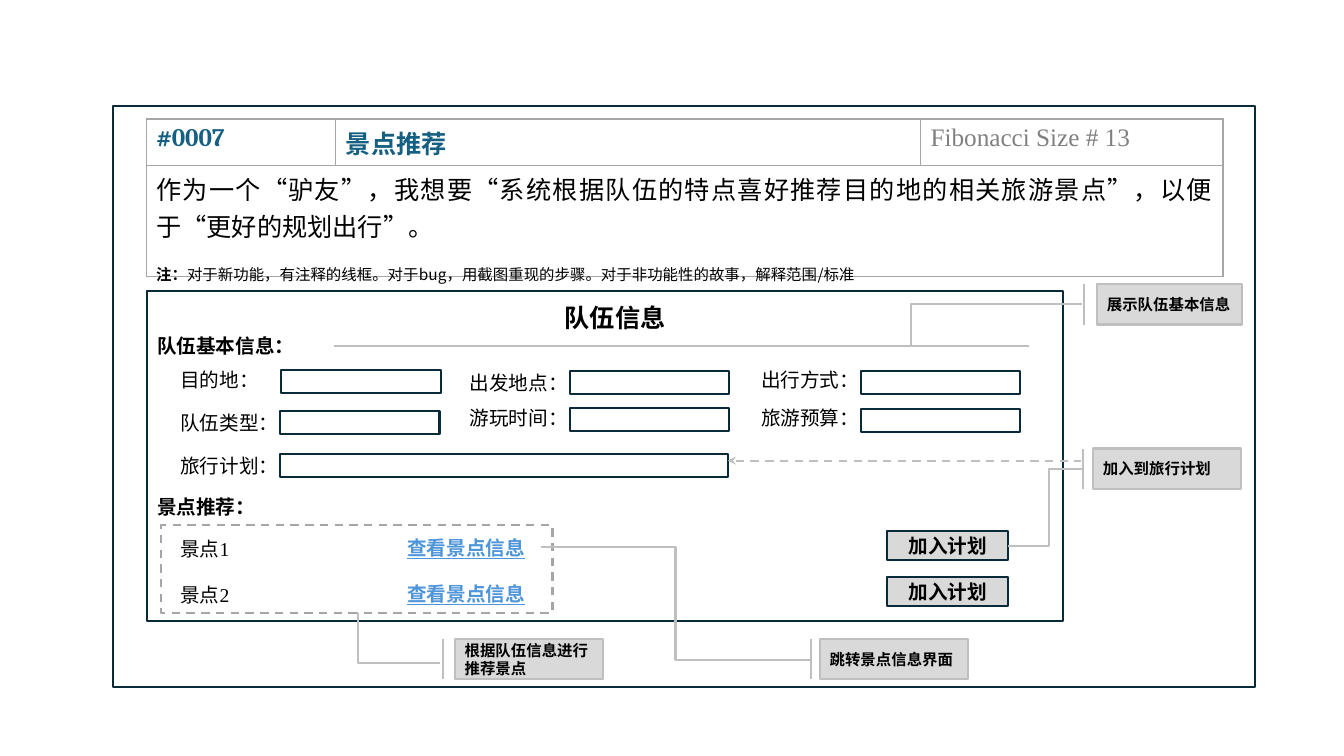
from lxml.etree import SubElement
from pptx import Presentation
from pptx.dml.color import RGBColor
from pptx.enum.dml import MSO_LINE
from pptx.enum.shapes import MSO_CONNECTOR, MSO_SHAPE
from pptx.enum.text import MSO_ANCHOR, PP_ALIGN
from pptx.oxml import parse_xml
from pptx.oxml.ns import nsdecls, qn
from pptx.util import Inches, Pt

NAVY, TEAL, BLACK, BLUE = "092A39", "156082", "000000", "4E95D9"
GRAY, RULE, BORDER, PALE = "808080", "BFBFBF", "A6A6A6", "D9D9D9"
SANS, SERIF = "Noto Sans CJK SC", "Times New Roman"

# Content: story card
STORY_COLUMNS = [1.88, 5.8, 3]
STORY_ROWS = [0.46, 1.1]
STORY_HEADER = [
    ("#0007", "Cambria", TEAL, True),
    ("景点推荐", "Noto Sans CJK JP", TEAL, True),
    ("Fibonacci Size # 13", SERIF, GRAY, False),
]
STORY = "作为一个“驴友”，我想要“系统根据队伍的特点喜好推荐目的地的相关旅游景点”，以便于“更好的规划出行”。"
NOTE = ("注：", "对于新功能，有注释的线框。对于bug，用截图重现的步骤。对于非功能性的故事，解释范围/标准")

# Content: wireframe (text, left, top of label; left, top, width of field)
FIELDS = [
    ("目的地：", 1.69, 3.6, 2.79, 3.67, 1.58),
    ("出发地点：", 4.56, 3.63, 5.65, 3.68, 1.58),
    ("出行方式：", 7.45, 3.6, 8.54, 3.68, 1.58),
    ("队伍类型：", 1.69, 4.03, 2.78, 4.08, 1.58),
    ("游玩时间：", 4.56, 3.98, 5.65, 4.05, 1.58),
    ("旅游预算：", 7.45, 3.98, 8.54, 4.06, 1.58),
    ("旅行计划：", 1.69, 4.45, 2.78, 4.5, 4.44),
]
SECTIONS = [("队伍基本信息：", 3.26), ("景点推荐：", 4.86)]
SPOTS = [("景点1", 5.28), ("景点2", 5.73)]
LINK, BUTTON = "查看景点信息", "加入计划"

# Content: callouts (text, left, top, width, left of the bar)
CALLOUTS = [
    ("展示队伍基本信息", 10.88, 2.82, 1.44, 10.75),
    ("加入到旅行计划", 10.84, 4.45, 1.47, 10.74),
    ("根据队伍信息进行推荐景点", 4.51, 6.34, 1.47, 4.39),
    ("跳转景点信息界面", 8.13, 6.34, 1.47, 8.04),
]

deck = Presentation()
deck.slide_width, deck.slide_height = Inches(13.33), Inches(7.5)
page = deck.slides.add_slide(deck.slide_layouts[6])


def color(value):
    return RGBColor.from_string(value)


def style(span, size, font=SANS, ink=BLACK, bold=False, underline=False):
    span.font.size, span.font.name = Pt(size), font
    span.font.bold, span.font.underline = bold, underline
    span.font.color.rgb = color(ink)
    east_asian = SANS if font == SERIF else font
    SubElement(span.font._element, qn("a:ea")).set("typeface", east_asian)


def add_text(text, left, top, width, height=0.34, size=14, align=PP_ALIGN.LEFT, wrap=False, **look):
    box = page.shapes.add_textbox(Inches(left), Inches(top), Inches(width), Inches(height))
    box.text_frame.word_wrap = wrap
    para = box.text_frame.paragraphs[0]
    para.text, para.alignment = text, align
    style(para.runs[0], size, **look)
    return box


def add_box(left, top, width, height, line=NAVY, fill=None, text="", size=14, align=PP_ALIGN.CENTER):
    box = page.shapes.add_shape(
        MSO_SHAPE.RECTANGLE, Inches(left), Inches(top), Inches(width), Inches(height))
    box.shadow.inherit = False
    box.line.color.rgb, box.line.width = color(line), Pt(1.5)
    if fill:
        box.fill.solid()
        box.fill.fore_color.rgb = color(fill)
    else:
        box.fill.background()
    if text:
        frame = box.text_frame
        frame.word_wrap, frame.vertical_anchor = True, MSO_ANCHOR.MIDDLE
        para = frame.paragraphs[0]
        para.text, para.alignment = text, align
        style(para.runs[0], size, bold=True)
    return box


def add_line(x1, y1, x2, y2, kind=MSO_CONNECTOR.STRAIGHT):
    line = page.shapes.add_connector(kind, Inches(x1), Inches(y1), Inches(x2), Inches(y2))
    line.line.color.rgb, line.line.width = color(RULE), Pt(1.5)
    SubElement(line._element.spPr, qn("a:effectLst"))
    return line


def add_borders(cell):
    cell.fill.background()
    for index, side in enumerate(("lnL", "lnR", "lnT", "lnB")):
        border = parse_xml(
            f'<a:{side} {nsdecls("a")} w="12700"><a:solidFill>'
            f'<a:srgbClr val="{BORDER}"/></a:solidFill></a:{side}>')
        cell._tc.get_or_add_tcPr().insert(index, border)


# Outer frame
add_box(1.12, 1.05, 11.33, 5.77)

# Story card
table = page.shapes.add_table(
    2, 3, Inches(1.45), Inches(1.18), Inches(sum(STORY_COLUMNS)), Inches(sum(STORY_ROWS))).table
table.first_row = table.horz_banding = False
for column, width in zip(table.columns, STORY_COLUMNS):
    column.width = Inches(width)
for row, height in zip(table.rows, STORY_ROWS):
    row.height = Inches(height)
for cell in table.iter_cells():
    add_borders(cell)
for index, (text, font, ink, bold) in enumerate(STORY_HEADER):
    cell = table.cell(0, index)
    cell.text = text
    style(cell.text_frame.paragraphs[0].runs[0], 18, font, ink, bold)
story = table.cell(1, 0)
story.merge(table.cell(1, 2))
story.text = STORY
story_para = story.text_frame.paragraphs[0]
story_para.alignment = PP_ALIGN.JUSTIFY
style(story_para.runs[0], 18, SERIF)

note = add_text(NOTE[0], 1.45, 2.58, 10.68, 0.29, 11, wrap=True, bold=True)
note_span = note.text_frame.paragraphs[0].add_run()
note_span.text = NOTE[1]
style(note_span, 11)

# Wireframe
add_box(1.46, 2.89, 9.08, 3.27)
add_text("队伍信息", 4.41, 2.95, 3.38, 0.4, 18, PP_ALIGN.CENTER, True, bold=True)
for text, top in SECTIONS:
    add_text(text, 1.46, top, 1.76, font=SERIF, bold=True)
for text, left, top, field_left, field_top, field_width in FIELDS:
    add_text(text, left, top, 1.09)
    add_box(field_left, field_top, field_width, 0.23)

# Recommended spots
buttons = []
for text, top in SPOTS:
    add_text(text, 1.69, top, 4.33, font=SERIF)
    add_text(LINK, 3.94, top - 0.01, 1.44, ink=BLUE, bold=True, underline=True)
    buttons.append(add_box(8.8, top - 0.01, 1.2, 0.29, fill=PALE, text=BUTTON))
add_box(1.6, 5.21, 3.88, 0.87, line=BORDER).line.dash_style = MSO_LINE.DASH

# Callouts
for text, left, top, width, bar in CALLOUTS:
    add_line(bar, top, bar, top + 0.4)
    add_box(left, top, width, 0.4, RULE, PALE, text, 11, PP_ALIGN.LEFT)

# Lines from the wireframe to the callouts
add_line(3.31, 3.43, 10.21, 3.43)
add_line(7.35, 3.43, 10.73, 3.02, MSO_CONNECTOR.ELBOW)
add_line(5.37, 5.43, 8.03, 6.55, MSO_CONNECTOR.ELBOW)

button_line = add_line(10, 5.41, 10.73, 4.65, MSO_CONNECTOR.ELBOW)
button_line.begin_connect(buttons[0], 3)
bend = SubElement(button_line._element.spPr.prstGeom.get_or_add_avLst(), qn("a:gd"))
bend.set("name", "adj1")
bend.set("fmla", "val 55000")

spots_line = add_line(4.36, 6.58, 3.55, 6.08, MSO_CONNECTOR.ELBOW)
spots_line._element.spPr.prstGeom.set("prst", "bentConnector2")

plan_arrow = add_line(7.22, 4.57, 10.72, 4.57)
plan_arrow.line.dash_style = MSO_LINE.DASH
SubElement(plan_arrow.line._get_or_add_ln(), qn("a:headEnd")).set("type", "stealth")

deck.save("out.pptx")
